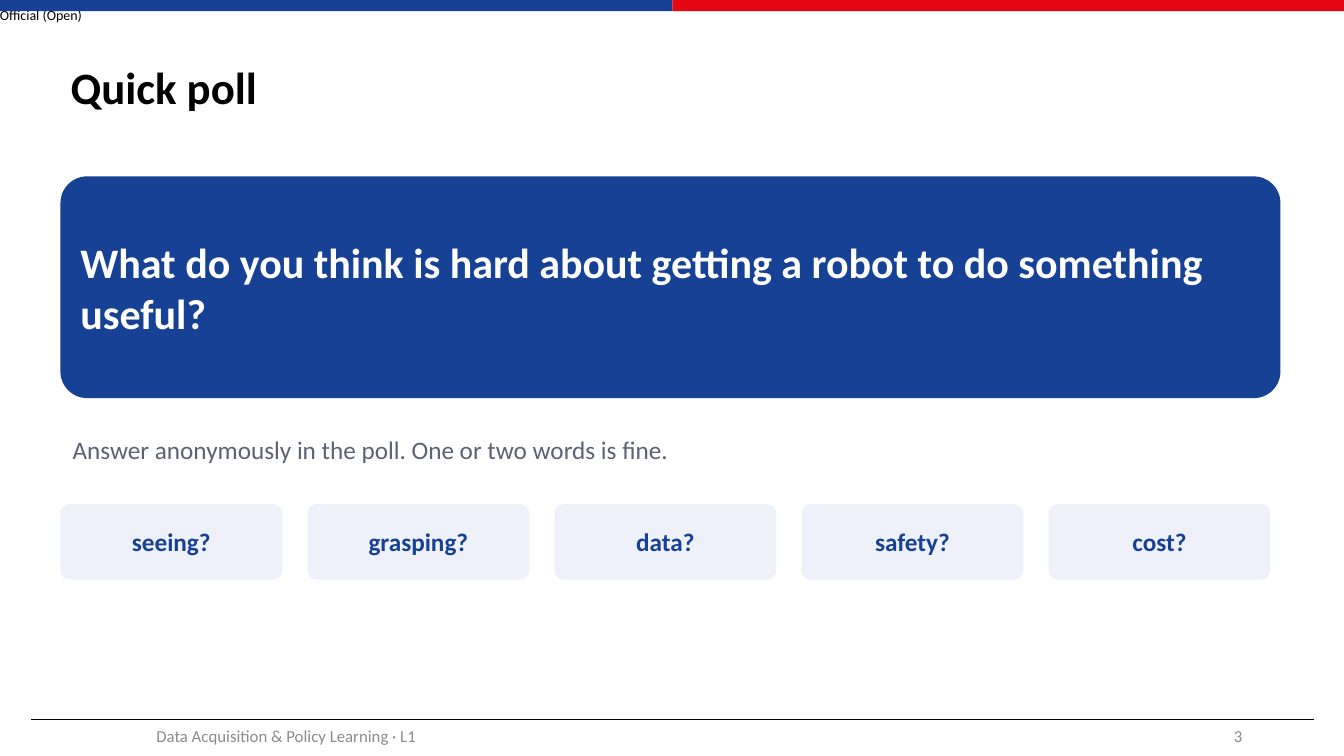
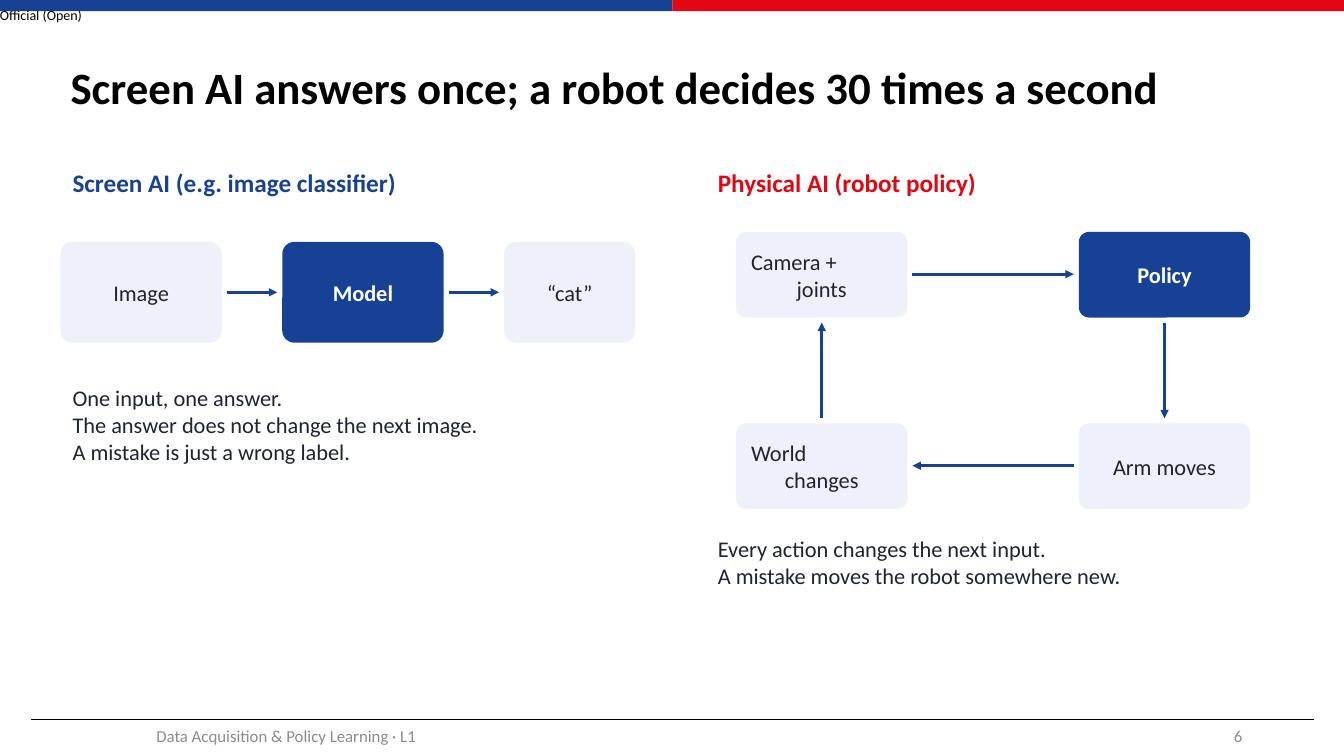
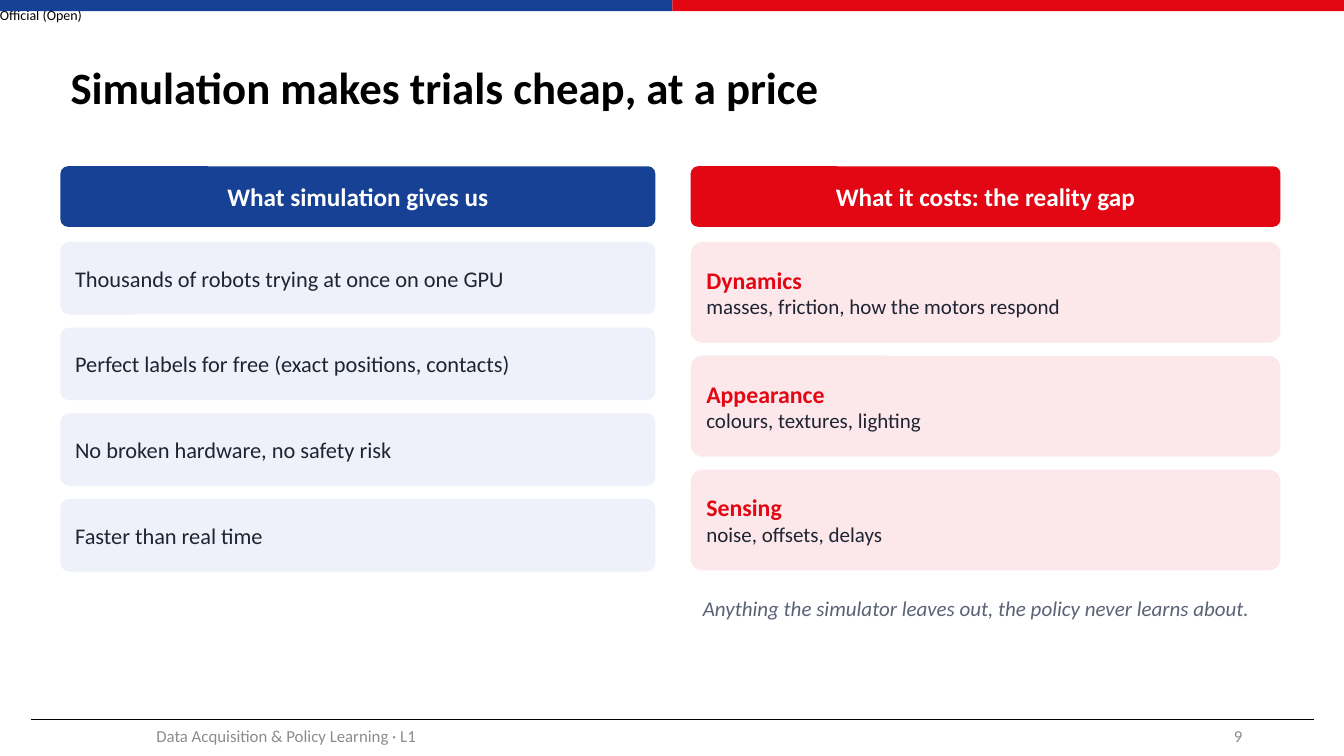
from dataclasses import dataclass

from lxml.etree import SubElement
from pptx import Presentation
from pptx.dml.color import RGBColor as RGB
from pptx.enum.shapes import MSO_CONNECTOR as CONN, MSO_SHAPE as SHAPE
from pptx.enum.text import MSO_ANCHOR as ANCHOR, MSO_AUTO_SIZE as AUTO, PP_ALIGN as ALIGN
from pptx.oxml.ns import qn
from pptx.util import Inches, Pt


@dataclass(frozen=True)
class Theme:
    font: str = "Calibri"
    blue: RGB = RGB(0x16, 0x41, 0x94)
    red: RGB = RGB(0xE3, 0x06, 0x13)
    pale_blue: RGB = RGB(0xEE, 0xF1, 0xF9)
    pale_red: RGB = RGB(0xFC, 0xE8, 0xEA)
    ink: RGB = RGB(0x1F, 0x24, 0x33)
    muted: RGB = RGB(0x5B, 0x62, 0x75)
    footer: RGB = RGB(0x8C, 0x8C, 0x8C)
    white: RGB = RGB(0xFF, 0xFF, 0xFF)
    black: RGB = RGB(0, 0, 0)
    title_size: int = 32
    question_size: int = 30
    head_size: int = 18
    term_size: int = 17
    body_size: int = 16
    detail_size: int = 15
    footer_size: int = 12
    label_size: int = 10


T = Theme()


def write(tf, text, size=T.body_size, color=T.ink, bold=False, italic=False, align=ALIGN.LEFT):
    p = tf.add_paragraph() if tf.text else tf.paragraphs[0]
    p.alignment = align
    r = p.add_run()
    r.text = text
    r.font.name = T.font
    r.font.size = Pt(size)
    r.font.bold = bold
    r.font.italic = italic
    r.font.color.rgb = color
    return p


def add_box(s, x, y, w, h, fill=None, kind=SHAPE.ROUNDED_RECTANGLE, anchor=ANCHOR.MIDDLE, pad=(0.12, 0.06)):
    at = Inches(x), Inches(y), Inches(w), Inches(h)
    if fill is None:
        sp = s.shapes.add_textbox(*at)
    else:
        sp = s.shapes.add_shape(kind, *at)
        sp.shadow.inherit = False
        sp.fill.solid()
        sp.fill.fore_color.rgb = fill
        sp.line.fill.background()
        if kind == SHAPE.ROUNDED_RECTANGLE:
            sp.adjustments[0] = 0.12
    tf = sp.text_frame
    tf.word_wrap = True
    tf.vertical_anchor = anchor
    tf.margin_left = tf.margin_right = Inches(pad[0])
    tf.margin_top = tf.margin_bottom = Inches(pad[1])
    return sp


prs = Presentation()
prs.slide_width = Inches(13.33)
prs.slide_height = Inches(7.5)
layout = prs.slide_layouts[5]
for ph in list(layout.placeholders)[1:]:
    ph.element.getparent().remove(ph.element)

slides = []
for number, title in (
    (3, "Quick poll"),
    (6, "Screen AI answers once; a robot decides 30 times a second"),
    (9, "Simulation makes trials cheap, at a price"),
):
    s = prs.slides.add_slide(layout)
    slides.append(s)
    sp = s.shapes.title
    sp.left, sp.top, sp.width, sp.height = Inches(0.6), Inches(0.3), Inches(12.08), Inches(1.18)
    tf = sp.text_frame
    tf.auto_size = AUTO.NONE
    tf.vertical_anchor = ANCHOR.MIDDLE
    write(tf, title, size=T.title_size, color=T.black, bold=True).line_spacing = 0.9
    for x, w, text, align in (
        (0.59, 4.5, "Data Acquisition & Policy Learning · L1", ALIGN.CENTER),
        (9.42, 3, str(number), ALIGN.RIGHT),
    ):
        tf = add_box(s, x, 7.1, w, 0.4, pad=(0.1, 0.05)).text_frame
        write(tf, text, size=T.footer_size, color=T.footer, align=align)

poll, loop, simulation = slides

label = add_box(poll, 0, 0, 1.13, 0.29, pad=(0, 0))
label.text_frame.word_wrap = False
label.text_frame.auto_size = AUTO.SHAPE_TO_FIT_TEXT
write(label.text_frame, "Official (Open)", size=T.label_size, color=T.black)
bands = [
    add_box(poll, i * 6.67, 0, 6.67, 0.11, fill=fill, kind=SHAPE.RECTANGLE)
    for i, fill in enumerate((T.blue, T.red))
]
rule = poll.shapes.add_connector(CONN.STRAIGHT, Inches(0.31), Inches(7.14), Inches(13.03), Inches(7.14))
rule.line.color.rgb = T.black
rule.line.width = Pt(0.5)
SubElement(rule.element.spPr, qn("a:effectLst"))
for sp in (label, *bands, rule):
    layout.shapes.element.append(sp.element)

tf = add_box(poll, 0.6, 1.75, 12.1, 2.2, fill=T.blue).text_frame
write(tf, "What do you think is hard about getting a robot to do something useful?",
      size=T.question_size, color=T.white, bold=True)
tf = add_box(poll, 0.6, 4.25, 12.1, 0.5, anchor=ANCHOR.TOP).text_frame
write(tf, "Answer anonymously in the poll. One or two words is fine.", size=T.head_size, color=T.muted)
for i, text in enumerate(("seeing?", "grasping?", "data?", "safety?", "cost?")):
    tf = add_box(poll, 0.6 + i * 2.45, 5, 2.2, 0.75, fill=T.pale_blue).text_frame
    write(tf, text, size=T.head_size, color=T.blue, bold=True, align=ALIGN.CENTER)

for x, w, head, color, y, h, lines in (
    (0.6, 5.7, "Screen AI (e.g. image classifier)", T.blue, 3.75, 2.4,
     ("One input, one answer.", "The answer does not change the next image.",
      "A mistake is just a wrong label.")),
    (7, 5.7, "Physical AI (robot policy)", T.red, 5.25, 1.2,
     ("Every action changes the next input.", "A mistake moves the robot somewhere new.")),
):
    tf = add_box(loop, x, 1.6, w, 0.5, anchor=ANCHOR.TOP).text_frame
    write(tf, head, size=T.head_size, color=color, bold=True)
    tf = add_box(loop, x, y, w, h, anchor=ANCHOR.TOP).text_frame
    for text in lines:
        write(tf, text)

for x, y, w, h, text, strong in (
    (0.6, 2.4, 1.6, 1, "Image", False),
    (2.8, 2.4, 1.6, 1, "Model", True),
    (5, 2.4, 1.3, 1, "“cat”", False),
    (7.3, 2.3, 1.7, 0.85, "Camera +\njoints", False),
    (10.7, 2.3, 1.7, 0.85, "Policy", True),
    (10.7, 4.2, 1.7, 0.85, "Arm moves", False),
    (7.3, 4.2, 1.7, 0.85, "World\nchanges", False),
):
    tf = add_box(loop, x, y, w, h, fill=T.blue if strong else T.pale_blue).text_frame
    write(tf, text, color=T.white if strong else T.ink, bold=strong, align=ALIGN.CENTER)

for ends in (
    (2.25, 2.9, 2.75, 2.9),
    (4.45, 2.9, 4.95, 2.9),
    (9.05, 2.72, 10.65, 2.72),
    (11.55, 3.2, 11.55, 4.15),
    (10.65, 4.62, 9.05, 4.62),
    (8.15, 4.15, 8.15, 3.2),
):
    arrow = loop.shapes.add_connector(CONN.STRAIGHT, *map(Inches, ends))
    arrow.line.color.rgb = T.blue
    arrow.line.width = Pt(2)
    SubElement(arrow.line._get_or_add_ln(), qn("a:tailEnd"), type="triangle")
    SubElement(arrow.element.spPr, qn("a:effectLst"))

for x, w, text, fill in (
    (0.6, 5.9, "What simulation gives us", T.blue),
    (6.85, 5.85, "What it costs: the reality gap", T.red),
):
    tf = add_box(simulation, x, 1.65, w, 0.6, fill=fill).text_frame
    write(tf, text, size=T.head_size, color=T.white, bold=True, align=ALIGN.CENTER)

for i, text in enumerate((
    "Thousands of robots trying at once on one GPU",
    "Perfect labels for free (exact positions, contacts)",
    "No broken hardware, no safety risk",
    "Faster than real time",
)):
    write(add_box(simulation, 0.6, 2.4 + i * 0.85, 5.9, 0.72, fill=T.pale_blue).text_frame, text)

for i, (term, detail) in enumerate((
    ("Dynamics", "masses, friction, how the motors respond"),
    ("Appearance", "colours, textures, lighting"),
    ("Sensing", "noise, offsets, delays"),
)):
    tf = add_box(simulation, 6.85, 2.4 + i * 1.13, 5.85, 1, fill=T.pale_red).text_frame
    write(tf, term, size=T.term_size, color=T.red, bold=True)
    write(tf, detail, size=T.detail_size)

tf = add_box(simulation, 6.85, 5.85, 5.85, 0.6, anchor=ANCHOR.TOP).text_frame
write(tf, "Anything the simulator leaves out, the policy never learns about.",
      size=T.detail_size, color=T.muted, italic=True)

prs.save("out.pptx")
